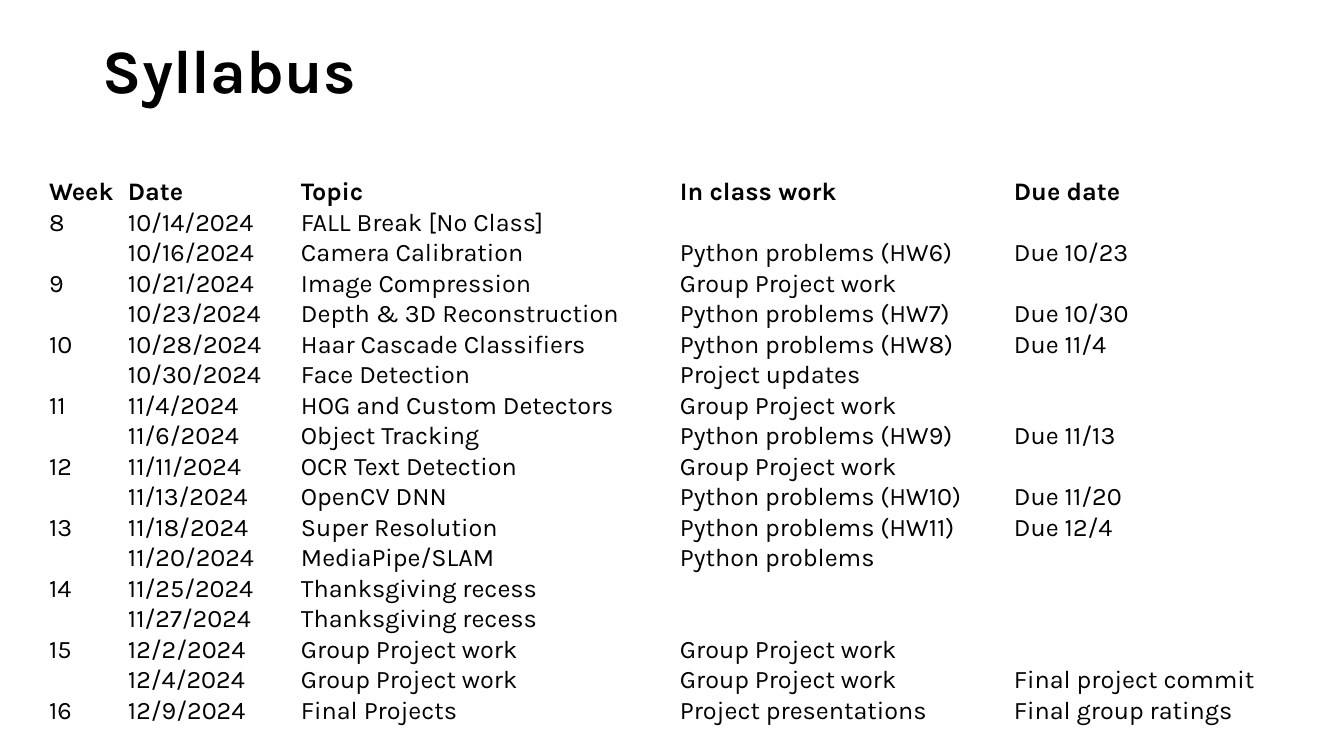
from pptx import Presentation
from pptx.dml.color import RGBColor as RGB
from pptx.enum.text import MSO_ANCHOR as ANCHOR
from pptx.util import Pt

TITLE = "Syllabus"
HEADS = ("Week", "Date", "Topic", "In class work", "Due date")
ROWS = [
    ("8", "10/14/2024", "FALL Break [No Class]", "", ""),
    ("", "10/16/2024", "Camera Calibration", "Python problems (HW6)", "Due 10/23"),
    ("9", "10/21/2024", "Image Compression", "Group Project work", ""),
    ("", "10/23/2024", "Depth & 3D Reconstruction", "Python problems (HW7)", "Due 10/30"),
    ("10", "10/28/2024", "Haar Cascade Classifiers", "Python problems (HW8)", "Due 11/4"),
    ("", "10/30/2024", "Face Detection", "Project updates", ""),
    ("11", "11/4/2024", "HOG and Custom Detectors", "Group Project work", ""),
    ("", "11/6/2024", "Object Tracking", "Python problems (HW9)", "Due 11/13"),
    ("12", "11/11/2024", "OCR Text Detection", "Group Project work", ""),
    ("", "11/13/2024", "OpenCV DNN", "Python problems (HW10)", "Due 11/20"),
    ("13", "11/18/2024", "Super Resolution", "Python problems (HW11)", "Due 12/4"),
    ("", "11/20/2024", "MediaPipe/SLAM", "Python problems", ""),
    ("14", "11/25/2024", "Thanksgiving recess", "", ""),
    ("", "11/27/2024", "Thanksgiving recess", "", ""),
    ("15", "12/2/2024", "Group Project work", "Group Project work", ""),
    ("", "12/4/2024", "Group Project work", "Group Project work", "Final project commit"),
    ("16", "12/9/2024", "Final Projects", "Project presentations", "Final group ratings"),
]
WIDTHS = (79, 173, 379, 334, 255)
LEFT, TOP, HIGH = 48, 177, 550
COLORS = {"ink": "000000", "paper": "FFFFFF"}
FONT = "Karla"


def px(n):
    return round(n * 914400 / 100.8)


def style(para, size, bold):
    font = para.font
    font.name, font.size, font.bold = FONT, Pt(size), bold
    font.color.rgb = RGB.from_string(COLORS["ink"])


def add_title(slide):
    box = slide.shapes.add_textbox(px(93), px(1), px(1159), px(146))
    frame = box.text_frame
    frame.word_wrap = True
    frame.vertical_anchor = ANCHOR.MIDDLE
    para = frame.paragraphs[0]
    para.text = TITLE
    para.line_spacing = 0.9
    style(para, 44, True)


def add_plan(slide):
    lines = [HEADS] + ROWS
    table = slide.shapes.add_table(
        len(lines), len(HEADS), px(LEFT), px(TOP), px(sum(WIDTHS)), px(HIGH)
    ).table
    table.first_row = table.horz_banding = False
    for col, width in zip(table.columns, WIDTHS):
        col.width = px(width)
    for i, (row, line) in enumerate(zip(table.rows, lines)):
        row.height = px(HIGH / len(lines))
        for cell, text in zip(row.cells, line):
            cell.fill.solid()
            cell.fill.fore_color.rgb = RGB.from_string(COLORS["paper"])
            cell.margin_left = cell.margin_right = px(1)
            cell.margin_top = cell.margin_bottom = 0
            cell.vertical_anchor = ANCHOR.MIDDLE
            para = cell.text_frame.paragraphs[0]
            para.text = text
            style(para, 18, i == 0)


def main():
    deck = Presentation()
    deck.slide_width, deck.slide_height = px(1344), px(756)
    slide = deck.slides.add_slide(deck.slide_layouts[6])
    add_plan(slide)
    add_title(slide)
    deck.save("out.pptx")


if __name__ == "__main__":
    main()
